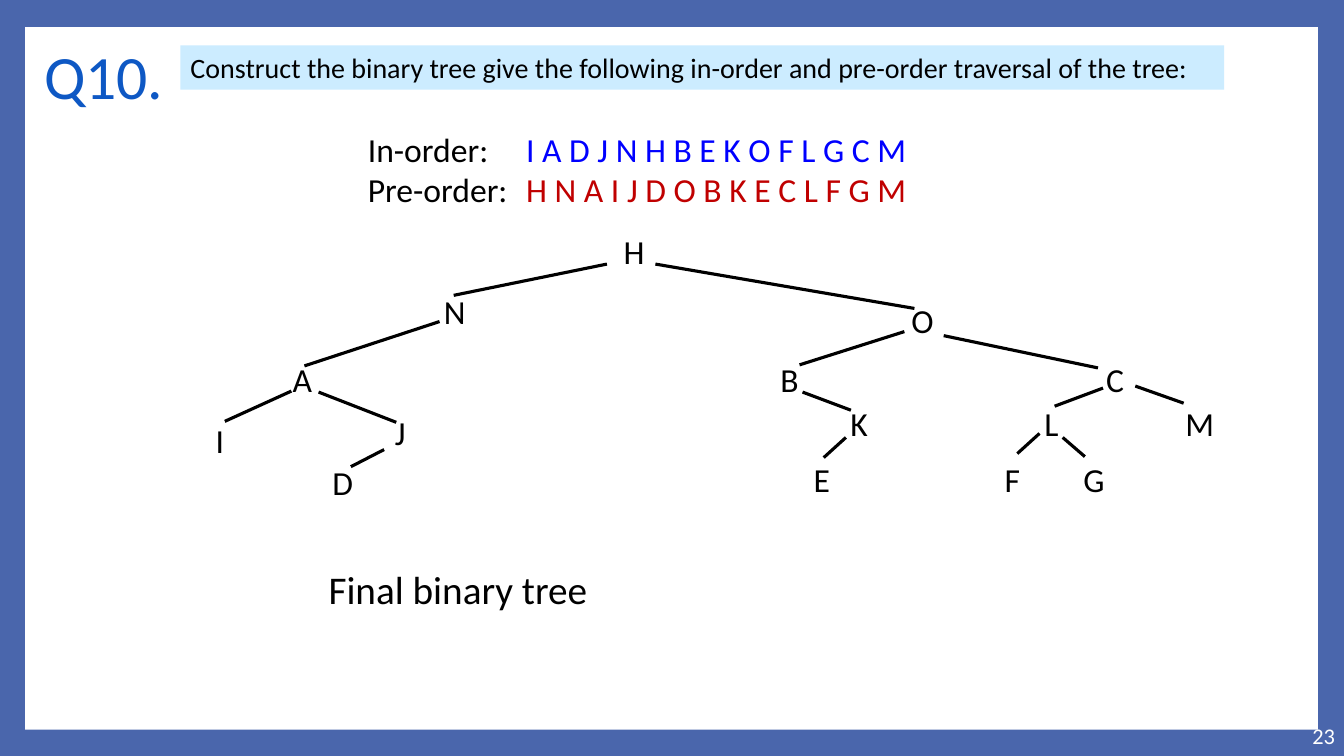
from dataclasses import dataclass

from lxml import etree
from pptx import Presentation
from pptx.dml.color import RGBColor
from pptx.enum.shapes import MSO_CONNECTOR, MSO_SHAPE
from pptx.enum.text import MSO_ANCHOR, PP_ALIGN
from pptx.oxml.ns import qn
from pptx.util import Inches, Pt


@dataclass(frozen=True)
class Theme:
    """Colours, font and sizes of the slide."""
    font: str = "Calibri"
    frame: str = "4A66AC"
    paper: str = "FFFFFF"
    banner: str = "CCECFF"
    title: str = "0E58C4"
    ink: str = "000000"
    in_order: str = "0000FF"
    pre_order: str = "C00000"
    title_size: int = 44
    caption_size: int = 28
    body_size: int = 24
    question_size: int = 20
    number_size: int = 16
    branch_width: float = 2.25


THEME = Theme()
NODE_WIDTH, NODE_HEIGHT = 0.64, 0.5
TAB_STOP = 1.57

TRAVERSALS = [
    ("In-order:", "I A D J N H B E K O F L G C M", THEME.in_order),
    ("Pre-order:", "H N A I J D O B K E C L F G M", THEME.pre_order),
]

NODES = {
    "H": (5.97, 2.24), "N": (4.19, 2.84), "O": (8.83, 2.93),
    "A": (2.68, 3.51), "B": (7.51, 3.51), "C": (10.74, 3.51),
    "I": (1.86, 4.12), "J": (3.65, 4.04), "D": (3.08, 4.53),
    "K": (8.2, 3.95), "E": (7.83, 4.5), "L": (10.11, 3.95),
    "M": (11.58, 3.95), "F": (9.72, 4.5), "G": (10.53, 4.5),
}

BRANCHES = {
    "HN": (6.02, 2.62, 4.5, 2.93), "HO": (6.5, 2.62, 9.07, 3.06),
    "NA": (4.36, 3.19, 3.02, 3.63), "AI": (2.89, 3.88, 2.23, 4.18),
    "AJ": (3.16, 3.89, 3.93, 4.19), "JD": (3.81, 4.46, 3.48, 4.63),
    "OB": (8.97, 3.29, 7.93, 3.62), "OC": (9.36, 3.33, 10.89, 3.65),
    "BK": (7.96, 3.89, 8.44, 4.07), "KE": (8.39, 4.34, 8.17, 4.54),
    "CL": (10.94, 3.85, 10.46, 4.03), "CM": (11.26, 3.83, 11.74, 4),
    "LF": (10.31, 4.3, 10.09, 4.5), "LG": (10.54, 4.34, 10.76, 4.53),
}


def write_text(paragraph, text, *, size=THEME.body_size, color=THEME.ink, align=PP_ALIGN.LEFT):
    """Append a formatted run to a paragraph."""
    paragraph.alignment = align
    run = paragraph.add_run()
    run.text = text
    run.font.name = THEME.font
    run.font.size = Pt(size)
    run.font.color.rgb = RGBColor.from_string(color)


def add_text_box(slide, box, anchor=MSO_ANCHOR.TOP):
    """Add a wrapping text box and return its text frame."""
    frame = slide.shapes.add_textbox(*map(Inches, box)).text_frame
    frame.word_wrap = True
    frame.vertical_anchor = anchor
    return frame


def add_panel(slide, box, color):
    """Add a plain filled rectangle and return its text frame."""
    shape = slide.shapes.add_shape(MSO_SHAPE.RECTANGLE, *map(Inches, box))
    shape.shadow.inherit = False
    shape.fill.solid()
    shape.fill.fore_color.rgb = RGBColor.from_string(color)
    shape.line.fill.background()
    shape.text_frame.vertical_anchor = MSO_ANCHOR.TOP
    return shape.text_frame


def add_tab_stop(paragraph, position):
    """Give a paragraph one left tab stop."""
    properties = paragraph._p.get_or_add_pPr()
    tabs = etree.SubElement(properties, qn("a:tabLst"))
    etree.SubElement(tabs, qn("a:tab"), pos=str(Inches(position)), algn="l")


def add_traversals(slide):
    """List the traversals with their letters aligned at a tab stop."""
    frame = add_text_box(slide, (3.55, 1.23, 6.72, 0.91))
    for index, (label, letters, color) in enumerate(TRAVERSALS):
        paragraph = frame.add_paragraph() if index else frame.paragraphs[0]
        add_tab_stop(paragraph, TAB_STOP)
        write_text(paragraph, label + "\t")
        write_text(paragraph, letters, color=color)


def add_node(slide, letter, left, top):
    """Add the letter of one tree node."""
    frame = add_text_box(slide, (left, top, NODE_WIDTH, NODE_HEIGHT))
    write_text(frame.paragraphs[0], letter, align=PP_ALIGN.CENTER)


def add_branch(slide, ends):
    """Draw the line from a parent to a child."""
    branch = slide.shapes.add_connector(MSO_CONNECTOR.STRAIGHT, *map(Inches, ends))
    branch.line.color.rgb = RGBColor.from_string(THEME.ink)
    branch.line.width = Pt(THEME.branch_width)
    etree.SubElement(branch._element.spPr, qn("a:effectLst"))


def main():
    """Build the binary tree slide and save it."""
    presentation = Presentation()
    presentation.slide_width = Inches(13.33)
    presentation.slide_height = Inches(7.5)
    slide = presentation.slides.add_slide(presentation.slide_layouts[6])
    slide.background.fill.solid()
    slide.background.fill.fore_color.rgb = RGBColor.from_string(THEME.frame)
    add_panel(slide, (0.25, 0.27, 12.82, 6.97), THEME.paper)

    title = add_text_box(slide, (0.34, 0.25, 1.44, 0.98), MSO_ANCHOR.MIDDLE)
    write_text(title.paragraphs[0], "Q10.", size=THEME.title_size, color=THEME.title)
    number = add_text_box(slide, (11.47, 7.1, 1.87, 0.4), MSO_ANCHOR.MIDDLE)
    write_text(number.paragraphs[0], "23", size=THEME.number_size, color=THEME.paper,
               align=PP_ALIGN.RIGHT)
    question = add_panel(slide, (1.79, 0.45, 10.35, 0.44), THEME.banner)
    write_text(question.paragraphs[0],
               "Construct the binary tree give the following in-order and "
               "pre-order traversal of the tree:", size=THEME.question_size)

    add_traversals(slide)
    for letter, (left, top) in NODES.items():
        add_node(slide, letter, left, top)
    for ends in BRANCHES.values():
        add_branch(slide, ends)
    caption = add_text_box(slide, (3.16, 5.56, 2.99, 0.57))
    write_text(caption.paragraphs[0], "Final binary tree", size=THEME.caption_size)
    presentation.save("out.pptx")


if __name__ == "__main__":
    main()
